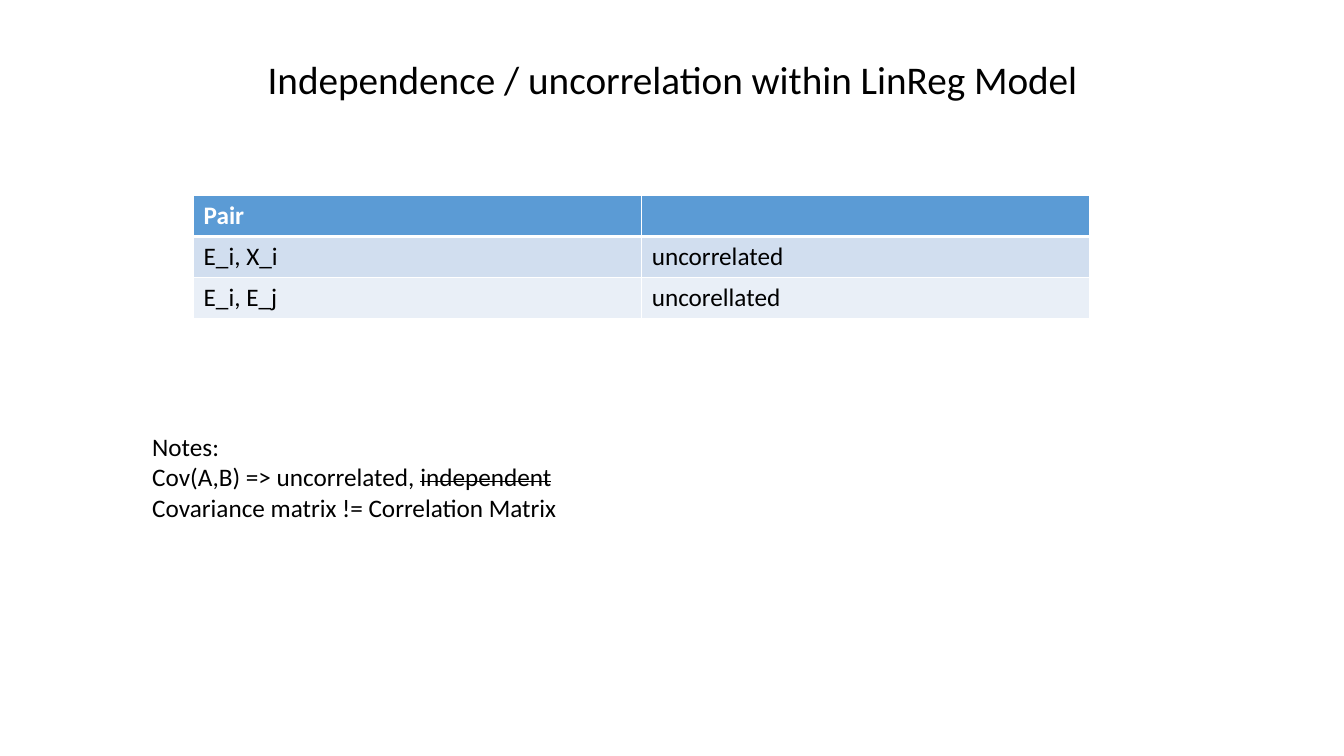
from lxml import etree
from pptx import Presentation
from pptx import util as u
from pptx.dml import color
from pptx.enum import text
from pptx.oxml import ns

FONT = "Calibri"
COLORS = {"ink": "000000", "paper": "FFFFFF", "header": "5B9BD5",
          "odd_row": "D1DEEF", "even_row": "E9EFF7"}
PAIRS = [("Pair", ""), ("E_i, X_i", "uncorrelated"), ("E_i, E_j", "uncorellated")]
NOTES = [
    [("Notes:", False)],
    [("Cov(A,B) => uncorrelated, ", False), ("independent", True)],
    [("Covariance matrix != Correlation Matrix", False)],
]


def rgb(name):
    return color.RGBColor.from_string(COLORS[name])


def place(shape, box):
    shape.left, shape.top, shape.width, shape.height = [u.Inches(n) for n in box]


def add_span(para, words, size=18, ink="ink", bold=False, struck=False):
    span = para.add_run()
    span.text = words
    span.font.name = FONT
    span.font.size = u.Pt(size)
    span.font.bold = bold
    span.font.color.rgb = rgb(ink)
    if struck:
        span._r.get_or_add_rPr().set("strike", "sngStrike")


def set_border(cell, widths):
    properties = cell._tc.get_or_add_tcPr()
    for index, (side, width) in enumerate(widths.items()):
        line = etree.Element(ns.qn(f"a:ln{side}"), w=str(u.Pt(width)))
        fill = etree.SubElement(line, ns.qn("a:solidFill"))
        etree.SubElement(fill, ns.qn("a:srgbClr"), val=COLORS["paper"])
        properties.insert(index, line)


def fill_title(title, box):
    place(title, box)
    frame = title.text_frame
    frame.word_wrap = True
    frame.auto_size = text.MSO_AUTO_SIZE.NONE
    frame.vertical_anchor = text.MSO_ANCHOR.BOTTOM
    frame.margin_bottom = u.Inches(0.48)
    para = frame.paragraphs[0]
    para.alignment = text.PP_ALIGN.CENTER
    para.line_spacing = 0.9
    add_span(para, "Independence / uncorrelation within LinReg Model", size=28)


def add_pair_table(page, box):
    lengths = [u.Inches(n) for n in box]
    table = page.shapes.add_table(len(PAIRS), 2, *lengths).table
    fills = ["header", "odd_row", "even_row"]
    for row, words in enumerate(PAIRS):
        for column, word in enumerate(words):
            cell = table.cell(row, column)
            cell.fill.solid()
            cell.fill.fore_color.rgb = rgb(fills[row])
            set_border(cell, {"L": 0.96, "R": 0.96,
                              "T": 3 if row == 1 else 0.96,
                              "B": 3 if row == 0 else 0.96})
            if word:
                add_span(cell.text_frame.paragraphs[0], word,
                         ink="paper" if row == 0 else "ink", bold=row == 0)


def fill_notes(body, box):
    place(body, box)
    frame = body.text_frame
    frame.word_wrap = True
    frame.auto_size = text.MSO_AUTO_SIZE.NONE
    for index, spans in enumerate(NOTES):
        para = frame.add_paragraph() if index else frame.paragraphs[0]
        para.space_before = u.Pt(0)
        properties = para._p.get_or_add_pPr()
        properties.set("marL", "0")
        properties.set("indent", "0")
        etree.SubElement(properties, ns.qn("a:buNone"))
        for words, struck in spans:
            add_span(para, words, struck=struck)


def main():
    deck = Presentation()
    deck.slide_width = u.Inches(13.33)
    deck.slide_height = u.Inches(7.5)
    page = deck.slides.add_slide(deck.slide_layouts[1])
    fill_title(page.shapes.title, (1.67, 0.2, 10, 1.3))
    add_pair_table(page, (1.92, 1.94, 8.89, 1.21))
    fill_notes(page.placeholders[1], (1.41, 4.23, 10.51, 1))
    deck.save("out.pptx")


if __name__ == "__main__":
    main()
